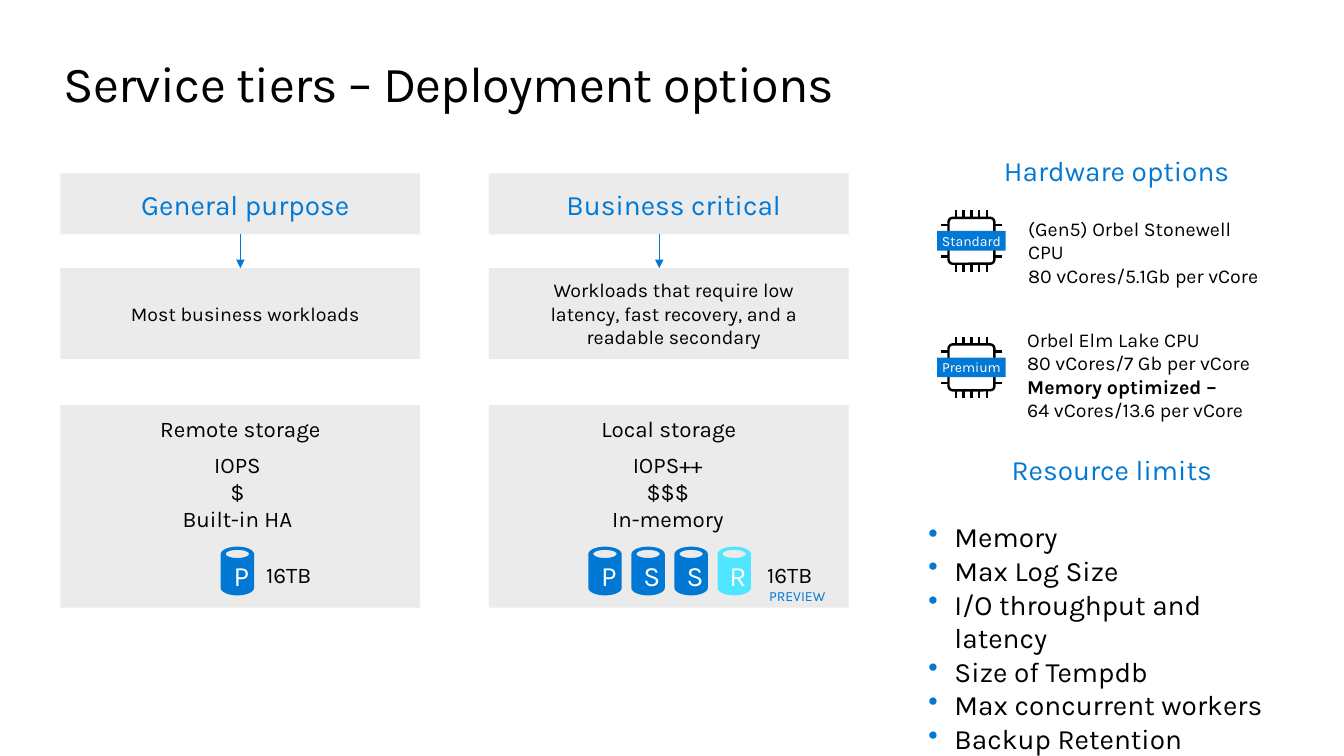
from math import cos, pi, sin

from lxml import etree
from pptx import Presentation
from pptx.dml.color import RGBColor
from pptx.enum.shapes import MSO_CONNECTOR, MSO_SHAPE
from pptx.enum.text import MSO_ANCHOR, PP_ALIGN
from pptx.oxml.ns import qn
from pptx.util import Pt

RECTANGLE = MSO_SHAPE.RECTANGLE
ROUNDED = MSO_SHAPE.ROUNDED_RECTANGLE
STRAIGHT = MSO_CONNECTOR.STRAIGHT
TOP, MIDDLE = MSO_ANCHOR.TOP, MSO_ANCHOR.MIDDLE
LEFT, CENTER = PP_ALIGN.LEFT, PP_ALIGN.CENTER

COLORS = {"black": "000000", "white": "FFFFFF", "blue": "0078D4",
          "cyan": "50E6FF", "gray": "EBEBEB"}


class TierPage:
    """Draws the elements of one slide in a shared style."""

    font = "Karla"

    def __init__(self, deck):
        self.page = deck.slides.add_slide(deck.slide_layouts[6])
        self.shapes = self.page.shapes

    def color(self, name):
        return RGBColor.from_string(COLORS[name])

    def fill_text(self, shape, lines, size, color="black", align=LEFT, anchor=TOP,
                  insets=(0, 0, 0, 0), wrap=True):
        frame = shape.text_frame
        frame.word_wrap = wrap
        frame.vertical_anchor = anchor
        frame.margin_left, frame.margin_top, frame.margin_right, frame.margin_bottom = map(Pt, insets)
        for index, line in enumerate(lines):
            para = frame.paragraphs[0] if index == 0 else frame.add_paragraph()
            para.add_run().text = line
            para.alignment = align
            para.font.name = self.font
            para.font.size = Pt(size)
            para.font.color.rgb = self.color(color)
        return shape

    def text(self, left, top, width, height, lines, size, **style):
        box = self.shapes.add_textbox(Pt(left), Pt(top), Pt(width), Pt(height))
        return self.fill_text(box, lines, size, **style)

    def paint(self, shape, fill):
        shape.shadow.inherit = False
        shape.fill.solid()
        shape.fill.fore_color.rgb = self.color(fill)
        shape.line.fill.background()
        return shape

    def block(self, left, top, width, height, label, size, fill="gray", parent=None, **style):
        shapes = parent.shapes if parent else self.shapes
        block = shapes.add_shape(RECTANGLE, Pt(left), Pt(top), Pt(width), Pt(height))
        self.paint(block, fill)
        return self.fill_text(block, [label], size, align=CENTER, **style)

    def line(self, x1, y1, x2, y2, color, width, parent=None):
        shapes = parent.shapes if parent else self.shapes
        line = shapes.add_connector(STRAIGHT, Pt(x1), Pt(y1), Pt(x2), Pt(y2))
        line.line.color.rgb = self.color(color)
        line.line.width = Pt(width)
        etree.SubElement(line._element.spPr, qn("a:effectLst"))
        return line

    def arrow(self, x, top, bottom):
        arrow = self.line(x, top, x, bottom, "blue", 1)
        outline = arrow._element.spPr.find(qn("a:ln"))
        etree.SubElement(outline, qn("a:tailEnd"), type="triangle")
        return arrow

    def cylinder(self, left, top, letter, fill):
        center = left + 11.9

        def arc(middle, radius_x, radius_y, start, end, steps=24):
            angles = [start + (end - start) * step / steps for step in range(steps + 1)]
            return [(Pt(center + radius_x * cos(angle)), Pt(middle + radius_y * sin(angle)))
                    for angle in angles]

        body = arc(top + 5.4, 11.9, 5.4, pi, 2 * pi) + arc(top + 29.4, 11.9, 5.4, 0, pi)
        hole = arc(top + 5.2, 8.3, 2.9, 2 * pi, 0, 36)
        builder = self.shapes.build_freeform(*body[0], scale=1.0)
        builder.add_line_segments(body[1:], close=True)
        builder.move_to(*hole[0])
        builder.add_line_segments(hole[1:], close=True)
        cylinder = self.paint(builder.convert_to_shape(), fill)
        self.fill_text(cylinder, [letter], 20, color="white", align=CENTER,
                       insets=(5.5, 11.5, 0, 0), wrap=False)
        cylinder.text_frame.paragraphs[0].line_spacing = 0.9

    def chip(self, x, y, label):
        group = self.shapes.add_group_shape()
        core = group.shapes.add_shape(ROUNDED, Pt(x - 16.4), Pt(y - 16.4), Pt(32.8), Pt(32.8))
        core.adjustments[0] = 0.09
        core.shadow.inherit = False
        core.fill.background()
        core.line.color.rgb = self.color("black")
        core.line.width = Pt(1.75)
        for side in (-1, 1):
            inner, outer = 17 * side, 22 * side
            for step in range(-2, 3):
                offset = 5.6 * step
                self.line(x + offset, y + inner, x + offset, y + outer, "black", 1.75, group)
                if step in (-2, 1, 2):
                    self.line(x + inner, y + offset, x + outer, y + offset, "black", 1.75, group)
        self.block(x - 24.5, y - 7, 49, 14, label, 10, fill="blue", parent=group,
                   color="white", anchor=MIDDLE)

    def bullet(self, para):
        properties = para._p.get_or_add_pPr()
        properties.set("marL", str(Pt(18.7)))
        properties.set("indent", str(-Pt(18.7)))
        bullet_color = etree.Element(qn("a:buClr"))
        etree.SubElement(bullet_color, qn("a:srgbClr"), val=COLORS["blue"])
        bullet_char = etree.Element(qn("a:buChar"), char="•")
        properties.insert(0, bullet_color)
        properties.insert(1, bullet_char)
        para.alignment = LEFT
        para.font.color.rgb = self.color("black")


def main():
    deck = Presentation()
    deck.slide_width, deck.slide_height = Pt(960), Pt(540)
    page = TierPage(deck)

    title = page.text(45.4, 37.4, 867.6, 44, ["Service tiers – Deployment options"], 36)
    title.text_frame.paragraphs[0].runs[0]._r.get_or_add_rPr().set("spc", "-50")

    tiers = [
        (43.2, "General purpose", "Most business workloads", "Remote storage",
         ["IOPS", "$", "Built-in HA"], 56.9, "P", 157.7, 190.1),
        (349.2, "Business critical",
         "Workloads that require low latency, fast recovery, and a readable secondary",
         "Local storage", ["IOPS++", "$$$", "In-memory"], 364.3, "PSSR", 420.3, 547.9),
    ]
    arrow_ends = []
    for left, name, purpose, storage, traits, traits_left, replicas, first, size_left in tiers:
        padding = {"anchor": MIDDLE, "insets": (21.6, 11.5, 14.4, 11.5)}
        header = page.block(left, 123.8, 257, 43.6, name, 20, color="blue", **padding)
        workload = page.block(left, 191.5, 257, 65, purpose, 14, **padding)
        page.block(left, 289.4, 257, 144.6, storage, 16, insets=(14.4, 7.2, 14.4, 11.5))
        page.text(traits_left, 322.6, 225.4, 58, traits, 16, align=CENTER)
        for index, letter in enumerate(replicas):
            page.cylinder(first + 30.75 * index, 390.5, letter, "cyan" if letter == "R" else "blue")
        page.text(size_left, 401, 36, 19.4, ["16TB"], 16, wrap=False)
        arrow_ends.append((header, workload))
    page.text(549.4, 419.8, 40.3, 12.2, ["PREVIEW"], 10, color="blue", wrap=False)

    header, workload = arrow_ends[0]
    general_arrow = page.arrow(171.7, 167.4, 191.5)
    general_arrow.begin_connect(header, 2)
    general_arrow.end_connect(workload, 0)
    page.arrow(470.9, 167.4, 191.5)

    page.text(717.1, 109.4, 204, 24.5, ["Hardware options"], 20, color="blue")
    page.chip(693.9, 172, "Standard")
    page.chip(693.9, 262.4, "Premium")
    page.text(734.4, 154.8, 167.8, 51,
              ["(Gen5) Orbel Stonewell CPU", "80 vCores/5.1Gb per vCore"], 14)
    premium = page.text(733.7, 234, 198.7, 68,
                        ["Orbel Elm Lake CPU", "80 vCores/7 Gb per vCore",
                         "Memory optimized –", "64 vCores/13.6 per vCore"], 14)
    premium.text_frame.paragraphs[2].font.bold = True

    limits = page.text(663.1, 323.3, 262.1, 218,
                       ["Resource limits", "Memory", "Max Log Size", "I/O throughput and latency",
                        "Size of Tempdb", "Max concurrent workers", "Backup Retention"],
                       20, color="blue", align=CENTER)
    heading, *items = limits.text_frame.paragraphs
    heading.space_after = Pt(24)
    for item in items:
        page.bullet(item)

    deck.save("out.pptx")


if __name__ == "__main__":
    main()
